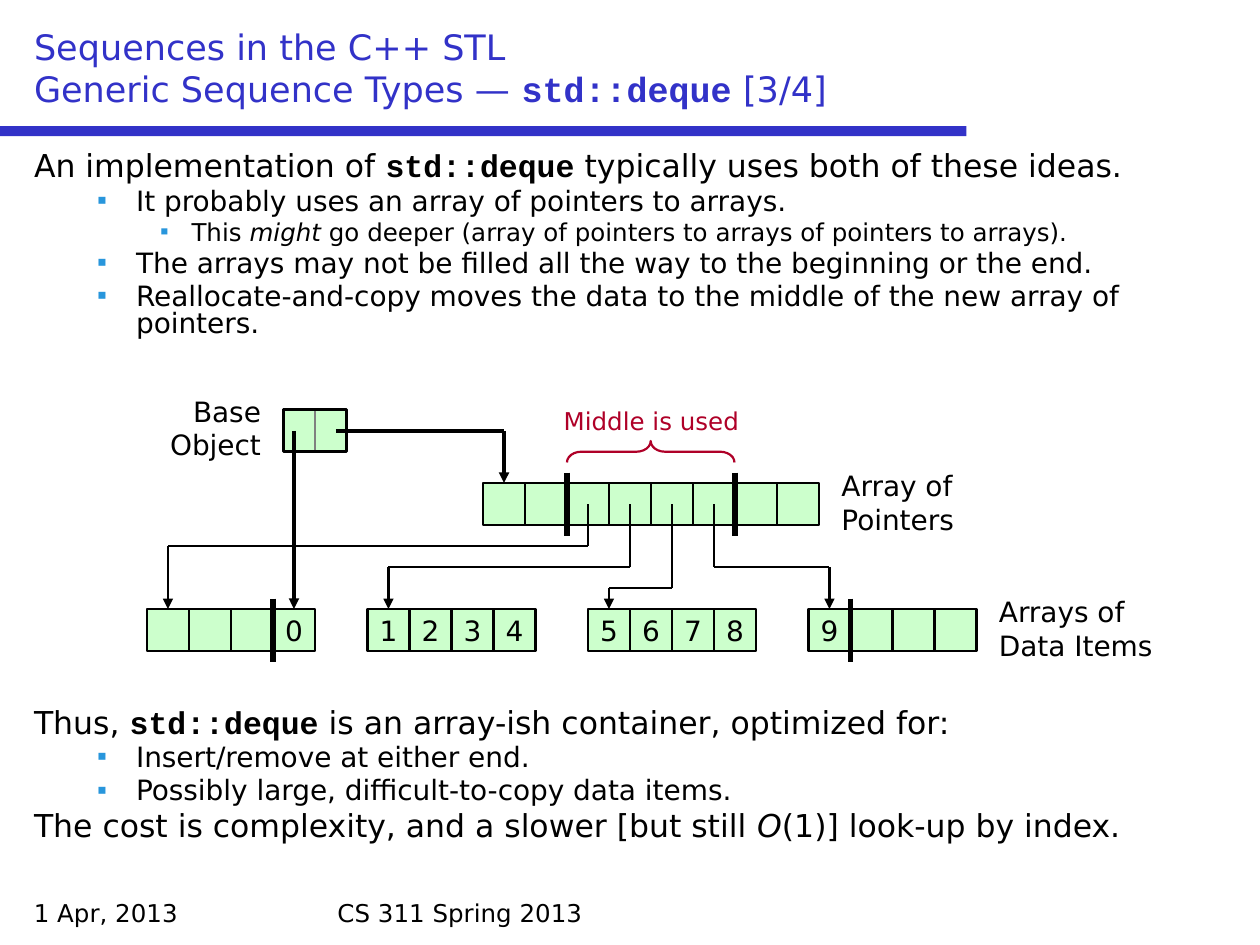
import pptx
import pptx.util
import pptx.dml.color
import pptx.enum.shapes
import pptx.enum.text
import pptx.oxml
import pptx.oxml.ns
from lxml import etree

Inches = pptx.util.Inches
Pt = pptx.util.Pt
Kind = pptx.enum.shapes.MSO_SHAPE
Align = pptx.enum.text.PP_ALIGN
Anchor = pptx.enum.text.MSO_ANCHOR
qn = pptx.oxml.ns.qn

BLACK, BLUE, SKY, RED, GREEN, GRAY = "000000", "3232C8", "2896DC", "AF0028", "CCFFCC", "808080"
CODE = {"font": "Courier New", "bold": True}
CELL = 1 / 3


def paint(fill, color):
    """Make a shape, line or font fill solid in a hex colour."""
    fill.solid()
    fill.fore_color.rgb = pptx.dml.color.RGBColor.from_string(color)


def write(paragraph, text, size=16, color=BLACK, font="DejaVu Sans", bold=False, italic=False, align=Align.LEFT):
    """Append formatted text to a paragraph; a newline becomes a line break."""
    paragraph.alignment = align
    for number, line in enumerate(text.split("\n")):
        if number:
            paragraph.add_line_break()
        run = paragraph.add_run()
        run.text = line
        run.font.name, run.font.size = font, Pt(size)
        run.font.bold, run.font.italic = bold, italic
        paint(run.font.fill, color)


deck = pptx.Presentation()
deck.slide_width, deck.slide_height = Inches(10), Inches(7.5)
slide = deck.slides.add_slide(deck.slide_layouts[1])
shapes = slide.shapes

# Title and body placeholders
title, body = shapes.title, slide.placeholders[1]
for holder, top, height, anchor in [(title, 0.17, 0.75, Anchor.BOTTOM), (body, 1.17, 5.83, Anchor.TOP)]:
    holder.left, holder.top, holder.width, holder.height = map(Inches, (0.17, top, 9.67, height))
    holder.text_frame.vertical_anchor = anchor
    holder.text_frame.auto_size = pptx.enum.text.MSO_AUTO_SIZE.NONE
    holder.text_frame.word_wrap = True

heading = title.text_frame.paragraphs[0]
for text, style in [("Sequences in the C++ STL\nGeneric Sequence Types — ", {}), ("std::deque", CODE), (" [3/4]", {})]:
    write(heading, text, size=20, color=BLUE, **style)

# Per level: text size, left margin, first-line indent
levels = [(18, 0.38, -0.38), (16, 0.81, -0.31), (14, 1.25, -0.25)]
diagram_gap = 212
points = [
    (0, [("An implementation of ", {}), ("std::deque", CODE), (" typically uses both of these ideas.", {})]),
    (1, [("It probably uses an array of pointers to arrays.", {})]),
    (2, [("This ", {}), ("might", {"italic": True}),
         (" go deeper (array of pointers to arrays of pointers to arrays).", {})]),
    (1, [("The arrays may not be filled all the way to the beginning or the end.", {})]),
    (1, [("Reallocate-and-copy moves the data to the middle of the new array of pointers.", {})]),
    (0, [("Thus, ", {}), ("std::deque", CODE), (" is an array-ish container, optimized for:", {})]),
    (1, [("Insert/remove at either end.", {})]),
    (1, [("Possibly large, difficult-to-copy data items.", {})]),
    (0, [("The cost is complexity, and a slower [but still ", {}), ("O", {"italic": True}),
         ("(1)] look-up by index.", {})]),
]
for number, (level, pieces) in enumerate(points):
    point = body.text_frame.paragraphs[0] if number == 0 else body.text_frame.add_paragraph()
    size, margin, indent = levels[level]
    point.level = level
    point.line_spacing = 0.8
    point.space_before = Pt(diagram_gap if pieces[0][0] == "Thus, " else 0.22 * size)
    properties = point._p.get_or_add_pPr()
    properties.set("marL", str(Inches(margin)))
    properties.set("indent", str(Inches(indent)))
    if level:
        bullet_color = etree.SubElement(properties, qn("a:buClr"))
        etree.SubElement(bullet_color, qn("a:srgbClr"), val=SKY)
        etree.SubElement(properties, qn("a:buChar"), char="▪")
    else:
        etree.SubElement(properties, qn("a:buNone"))
    for text, style in pieces:
        write(point, text, size=size, **style)

# Boxes: kind, left, top, width, height, fill, line colour, line width, text
pointer_left, pointer_top, data_top = 23 / 6, 23 / 6, 29 / 6
data_lefts = [7 / 6 + 1.75 * block for block in range(4)]
data_items = [["", "", "", "0"], list("1234"), list("5678"), ["9", "", "", ""]]
boxes = [(Kind.RECTANGLE, 0, 1, 7.67, 0.08, BLUE, None, 0, "")]
boxes += [(Kind.RECTANGLE, pointer_left + CELL * column, pointer_top, CELL, CELL, GREEN, BLACK, 1.25, "")
          for column in range(8)]
boxes += [(Kind.RECTANGLE, left + CELL * column, data_top, CELL, CELL, GREEN, BLACK, 1.25, item)
          for left, items in zip(data_lefts, data_items) for column, item in enumerate(items)]
boxes += [(Kind.RECTANGLE, left, 3.25, 0.25, CELL, GREEN, GRAY, 0.75, "") for left in (2.25, 2.5)]
boxes += [(Kind.RECTANGLE, 2.25, 3.25, 0.5, CELL, None, BLACK, 2, ""),
          (Kind.RIGHT_BRACE, 5.08, 2.92, 0.17, 1.33, None, RED, 1.25, "")]
for kind, left, top, width, height, fill, outline, weight, item in boxes:
    box = shapes.add_shape(kind, *map(Inches, (left, top, width, height)))
    box.shadow.inherit = False
    if fill:
        paint(box.fill, fill)
    else:
        box.fill.background()
    if outline:
        paint(box.line.fill, outline)
        box.line.width = Pt(weight)
    else:
        box.line.fill.background()
    if kind == Kind.RIGHT_BRACE:
        box.rotation = 270
        box.adjustments[0] = 0.667
    if item:
        box.text_frame.word_wrap = False
        box.text_frame.vertical_anchor = Anchor.MIDDLE
        write(box.text_frame.paragraphs[0], item, align=Align.CENTER)

# Routes: corner points, line width, arrowhead at the end
routes = []
for column, (target, bend) in enumerate([(4 / 3, 13 / 3), (37 / 12, 4.5), (29 / 6, 14 / 3), (79 / 12, 4.5)]):
    source = 14 / 3 + CELL * column
    routes.append(([(source, 4), (source, bend), (target, bend), (target, data_top)], 1.25, True))
routes.append(([(8 / 3, 3.42), (4, 3.42), (4, pointer_top)], 2, True))
routes.append(([(7 / 3, 3.42), (7 / 3, data_top)], 2, True))
for x, top in [(4.5, 3.75), (35 / 6, 3.75), (13 / 6, 4.75), (6.75, 4.75)]:
    routes.append(([(x, top), (x, top + 0.5)], 3, False))
for corners, weight, arrow in routes:
    for start, end in zip(corners, corners[1:]):
        segment = shapes.add_connector(pptx.enum.shapes.MSO_CONNECTOR.STRAIGHT, *map(Inches, start + end))
        paint(segment.line.fill, BLACK)
        segment.line.width = Pt(weight)
        if arrow and end == corners[-1]:
            etree.SubElement(segment.line._get_or_add_ln(), qn("a:tailEnd"), type="triangle")
        etree.SubElement(segment._element.spPr, qn("a:effectLst"))

# Diagram labels and footer
labels = [
    ("Base Object", 1.17, 3.08, 1, 0.64, {"align": Align.RIGHT}),
    ("Array of Pointers", 6.58, 3.67, 1.25, 0.64, {}),
    ("Arrays of Data Items", 7.83, 4.67, 1.5, 0.64, {}),
    ("Middle is used", 4.17, 3.17, 2, 0.34, {"size": 14, "color": RED, "align": Align.CENTER}),
    ("1 Apr, 2013", 0.17, 7.08, 2.33, 0.33, {"size": 14}),
    ("CS 311 Spring 2013", 2.58, 7.08, 4.83, 0.33, {"size": 14}),
]
for text, left, top, width, height, style in labels:
    label = shapes.add_textbox(*map(Inches, (left, top, width, height)))
    label.text_frame.word_wrap = True
    write(label.text_frame.paragraphs[0], text, **style)

deck.save("out.pptx")
